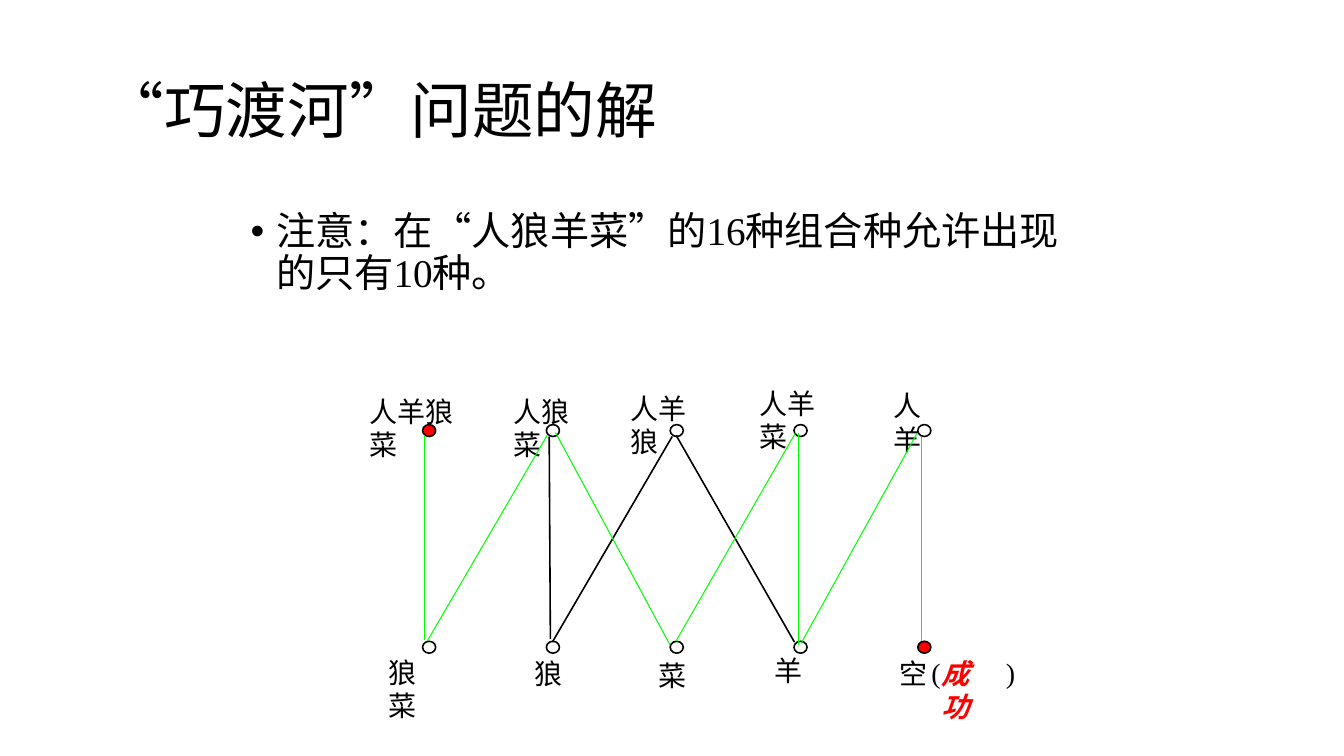
from lxml import etree
from pptx import Presentation
from pptx.dml.color import RGBColor
from pptx.enum.shapes import MSO_CONNECTOR, MSO_SHAPE
from pptx.enum.text import MSO_ANCHOR, MSO_AUTO_SIZE
from pptx.oxml.ns import qn
from pptx.util import Cm, Pt

BLACK, WHITE, RED, GREEN = "000000", "FFFFFF", "FF0000", "00FF00"
TIMES, CALIBRI, NOTO = "Times New Roman", "Calibri", "Noto Sans CJK SC"

presentation = Presentation()
presentation.slide_width, presentation.slide_height = Cm(33.87), Cm(19.05)
slide = presentation.slides.add_slide(presentation.slide_layouts[6])


def rgb(color):
    return RGBColor.from_string(color)


def add_text(left, top, width, height, runs, size, color=BLACK, wrap=True):
    """Add a text box; runs are (text, font) pairs, the first font is the paragraph's."""
    box = slide.shapes.add_textbox(Cm(left), Cm(top), Cm(width), Cm(height))
    box.text_frame.word_wrap = wrap
    paragraph = box.text_frame.paragraphs[0]
    base = runs[0][1]
    paragraph.font.name = base
    paragraph.font.size = Pt(size)
    paragraph.font.color.rgb = rgb(color)
    for text, font in runs:
        run = paragraph.add_run()
        run.text = text
        if font != base:
            run.font.name = font
    return box, paragraph


# Title
title, paragraph = add_text(2.34, 1.02, 29.21, 3.68, [("“巧渡河”问题的解", CALIBRI)], 44)
title.text_frame.vertical_anchor = MSO_ANCHOR.MIDDLE
paragraph.line_spacing = 0.9

# Bulleted note
note_runs = [("注意：在", TIMES), ("“", CALIBRI), ("人狼羊菜", TIMES), ("”", CALIBRI),
             ("的16种组合种允许出现的只有10种。", TIMES)]
note, paragraph = add_text(6.07, 5.21, 21.74, 3.28, note_runs, 28)
paragraph.line_spacing = 0.9
paragraph.space_before = Pt(10)
properties = paragraph.font._element.getparent()
properties.set("marL", str(Cm(0.64)))
properties.set("indent", str(-Cm(0.64)))
bullet_font = etree.Element(qn("a:buFont"), typeface="Arial")
bullet = etree.Element(qn("a:buChar"), char="•")
for element in (bullet_font, bullet):
    paragraph.font._element.addprevious(element)

# States: five nodes per bank, start and goal in red
for row, center_y in enumerate((10.85, 16.31)):
    for column in range(5):
        center_x = 10.81 + 3.12 * column
        node = slide.shapes.add_shape(MSO_SHAPE.OVAL, Cm(center_x - 0.16), Cm(center_y - 0.15),
                                      Cm(0.33), Cm(0.3))
        node.shadow.inherit = False
        node.fill.solid()
        node.fill.fore_color.rgb = rgb(RED if (row, column) in ((0, 0), (1, 4)) else WHITE)
        node.line.color.rgb = rgb(BLACK)
        node.line.width = Pt(1.13)

# State labels: left, top, runs; longer ones break before their last character
labels = [
    (9.32, 9.93, [("人羊狼菜", NOTO)]),
    (12.93, 9.93, [("人", TIMES), ("狼菜", NOTO)]),
    (15.9, 9.86, [("人羊狼", NOTO)]),
    (19.13, 9.73, [("人羊", NOTO), ("菜", TIMES)]),
    (22.53, 9.8, [("人羊", NOTO)]),
    (9.8, 16.51, [("狼菜", NOTO)]),
    (13.46, 16.54, [("狼", NOTO)]),
    (16.59, 16.59, [("菜", NOTO)]),
    (19.53, 16.48, [("羊", NOTO)]),
    (22.68, 16.54, [("空", NOTO)]),
    (23.47, 16.51, [("(", TIMES)]),
    (23.72, 16.54, [("成功", NOTO)]),
    (25.35, 16.51, [(")", TIMES)]),
]
for left, top, runs in labels:
    text = "".join(part for part, font in runs)
    success = text == "成功"
    width = 0.23 if text in "()" else 0.7 * len(text)
    label, paragraph = add_text(left, top, width, 0.84, runs, 20, RED if success else BLACK,
                                wrap=len(text) > 1 and not success)
    frame = label.text_frame
    frame.margin_left = frame.margin_right = frame.margin_top = frame.margin_bottom = 0
    frame.auto_size = MSO_AUTO_SIZE.SHAPE_TO_FIT_TEXT
    if success:
        paragraph.font.bold = paragraph.font.italic = True

# Crossings: the solution in green, the other moves in black
crossings = [
    (13.84, 11.0, 13.87, 16.1, BLACK),
    (13.92, 16.18, 16.94, 11.0, BLACK),
    (17.04, 10.97, 20.02, 16.18, BLACK),
    (23.11, 10.92, 20.19, 16.21, GREEN),
    (10.69, 10.97, 10.69, 16.13, GREEN),
    (10.77, 16.15, 13.79, 10.97, GREEN),
    (14.0, 10.9, 16.89, 16.26, GREEN),
    (17.04, 16.15, 20.04, 10.92, GREEN),
    (20.12, 10.92, 20.12, 16.26, GREEN),
    (23.22, 11.0, 23.22, 16.15, GREEN),
]
for start_x, start_y, end_x, end_y, color in crossings:
    crossing = slide.shapes.add_connector(MSO_CONNECTOR.STRAIGHT, Cm(start_x), Cm(start_y),
                                          Cm(end_x), Cm(end_y))
    crossing.line.color.rgb = rgb(color)
    crossing.line.width = Pt(0.75 if color == GREEN else 1.13)
    etree.SubElement(crossing._element.spPr, qn("a:effectLst"))

presentation.save("out.pptx")
